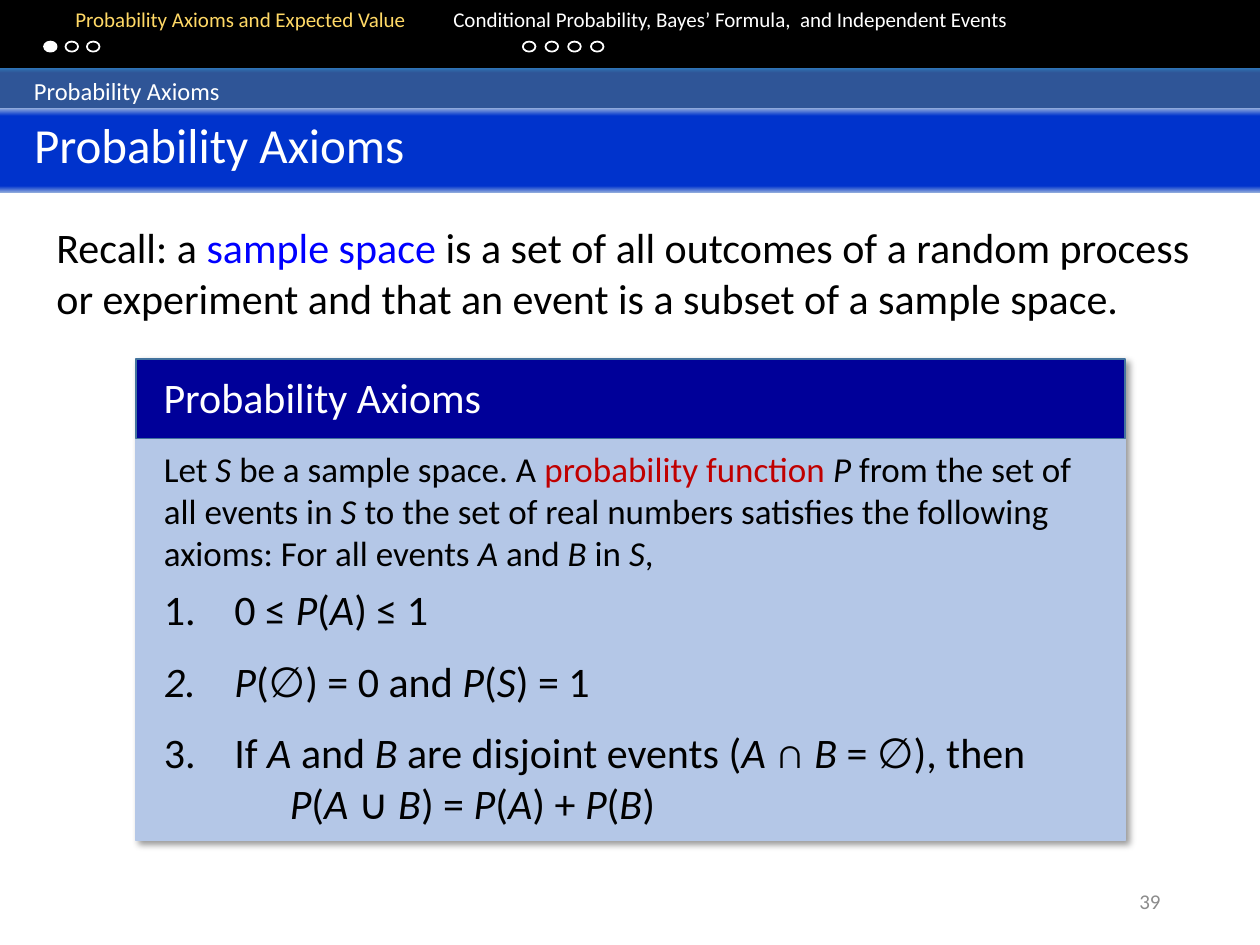
"""Build the Probability Axioms lecture slide."""
from lxml import etree
from pptx import Presentation
from pptx.dml.color import RGBColor
from pptx.enum.shapes import MSO_SHAPE
from pptx.enum.text import MSO_ANCHOR, MSO_AUTO_SIZE, PP_ALIGN
from pptx.oxml.ns import qn
from pptx.util import Inches, Pt

RECTANGLE, OVAL = MSO_SHAPE.RECTANGLE, MSO_SHAPE.OVAL
TOP, MIDDLE = MSO_ANCHOR.TOP, MSO_ANCHOR.MIDDLE
LEFT, RIGHT = PP_ALIGN.LEFT, PP_ALIGN.RIGHT
NO_FIT = MSO_AUTO_SIZE.NONE

TOPIC = "Probability Axioms"
SECTIONS = [
    {"name": "Probability Axioms and Expected Value", "left": 0.35,
     "step": 0.17, "dots": 3, "current": 0},
    {"name": "Conditional Probability, Bayes’ Formula,  and Independent Events",
     "left": 4.15, "step": 0.18, "dots": 4, "current": None},
]
RECALL = ("Recall: a |sample space |is a set of all outcomes of a random process "
          "or experiment and that an event is a subset of a sample space.")
INTRO = ("Let *S *be a sample space. A |probability function |*P* from the set of "
         "all events in *S *to the set of real numbers satisfies the following "
         "axioms: For all events *A *and *B* in *S*,")
AXIOMS = [
    "0 ≤ *P*(*A*) ≤ 1",
    "*P*(∅) = 0 and *P*(*S*) = 1",
    "If *A* and *B* are disjoint events (*A* ∩ *B* = ∅), then",
]
SUM_RULE = "*P*(*A* ∪ *B*) = *P*(*A*) + *P*(*B*)"
PAGE_NUMBER = "39"

THEME = {
    "font": "Calibri", "white": "FFFFFF", "black": "000000", "gold": "FFD966",
    "grey": "8C8C8C", "blue": "0000FF", "red": "C00000", "card": "B4C7E7",
    "navy": "000099", "edge": "43739E",
    "topic_bar": [(0, "2E75B6"), (11, "2F5597"), (91, "2F5597"), (100, "2E75B6")],
    "title_bar": [(0, "8FAADC"), (9, "0033CC"), (92, "0033CC"), (100, "8FAADC")],
    "small": 12, "topic": 14, "intro": 20, "text": 24, "title": 28,
}


def color(name):
    return RGBColor.from_string(THEME[name])


def child(parent, tag, **attributes):
    values = {key: str(value) for key, value in attributes.items()}
    return etree.SubElement(parent, qn(tag), values)


def place(shape, left, top, width, height):
    shape.left, shape.top = Inches(left), Inches(top)
    shape.width, shape.height = Inches(width), Inches(height)


def add_gradient(shape, stops):
    gradient = child(shape.element.spPr, "a:gradFill", rotWithShape=1)
    stop_list = child(gradient, "a:gsLst")
    for position, value in stops:
        stop = child(stop_list, "a:gs", pos=position * 1000)
        child(stop, "a:srgbClr", val=value)
    child(gradient, "a:lin", ang=90 * 60000, scaled=0)


def add_shape(page, kind, box, fill=None, line=None, stops=None):
    shape = page.shapes.add_shape(kind, *map(Inches, box))
    if stops:
        add_gradient(shape, stops)
    elif fill:
        shape.fill.solid()
        shape.fill.fore_color.rgb = color(fill)
    else:
        shape.fill.background()
    if line:
        shape.line.color.rgb = color(line)
        shape.line.width = Pt(1)
    else:
        shape.line.fill.background()
    shape.shadow.inherit = False
    return shape


def add_shadow(shape):
    effects = shape.element.spPr.find(qn("a:effectLst"))
    shadow = child(effects, "a:outerShdw", blurRad=Pt(4), dist=Pt(3),
                   dir=45 * 60000, algn="tl", rotWithShape=0)
    tint = child(shadow, "a:srgbClr", val=THEME["black"])
    child(tint, "a:alpha", val=40000)


def prepare(shape, anchor=TOP, inset=0.1):
    frame = shape.text_frame
    frame.word_wrap = True
    frame.auto_size = NO_FIT
    frame.vertical_anchor = anchor
    frame.margin_left = Inches(inset)
    return frame


def add_text(page, box, anchor=TOP):
    return prepare(page.shapes.add_textbox(*map(Inches, box)), anchor)


def write(frame, text, size="text", ink="black", accent="black", align=LEFT,
          after=0, indent=0, hanging=0, numbered=False, tabs=()):
    """Add a paragraph; * toggles italics and | toggles the accent colour."""
    para = frame.paragraphs[0]
    if para.runs:
        para = frame.add_paragraph()
    para.alignment = align
    para.space_before, para.space_after = Pt(0), Pt(after)
    properties = para._p.get_or_add_pPr()
    properties.set("marL", str(Inches(indent)))
    properties.set("indent", str(-Inches(hanging)))
    if numbered:
        child(properties, "a:buFont", typeface="+mj-lt")
        child(properties, "a:buAutoNum", type="arabicPeriod")
    else:
        child(properties, "a:buNone")
    if tabs:
        tab_list = child(properties, "a:tabLst")
        for tab in tabs:
            child(tab_list, "a:tab", pos=Inches(tab), algn="l")
    for accented, part in enumerate(text.split("|")):
        for slanted, piece in enumerate(part.split("*")):
            if piece:
                span = para.add_run()
                span.text = piece
                span.font.name = THEME["font"]
                span.font.size = Pt(THEME[size])
                span.font.italic = slanted % 2 == 1
                span.font.color.rgb = color(accent if accented % 2 else ink)


def add_navigation(page):
    add_shape(page, RECTANGLE, (0, -0.02, 10, 0.56), "black")
    names = "|".join("\t" + section["name"] for section in SECTIONS)
    write(add_text(page, (0, 0, 10, 0.5)), names, size="small", ink="gold",
          accent="white", tabs=(0.26, 4.05))
    for section in SECTIONS:
        for index in range(section["dots"]):
            left = section["left"] + index * section["step"]
            fill = "white" if index == section["current"] else None
            add_shape(page, OVAL, (left, 0.33, 0.1, 0.08), fill, "white")
    bar = add_shape(page, RECTANGLE, (0, 0.54, 10, 0.36), stops=THEME["topic_bar"])
    write(prepare(bar, MIDDLE, 0.27), TOPIC, size="topic", ink="white")


def add_title(page):
    title = page.shapes.title
    place(title, 0, 0.86, 10, 0.67)
    add_gradient(title, THEME["title_bar"])
    write(prepare(title, TOP, 0.27), TOPIC, size="title", ink="white")
    page.shapes.element.append(title.element)


def add_axioms(page):
    card = add_shape(page, RECTANGLE, (1.08, 2.85, 7.85, 3.82), "card", "card")
    add_shadow(card)
    add_shape(page, RECTANGLE, (1.08, 2.85, 7.85, 0.63), "navy", "edge")
    write(add_text(page, (1.2, 2.9, 4.63, 0.5)), TOPIC, ink="white")
    body = page.placeholders[1]
    place(body, 1.2, 3.5, 7.57, 3.15)
    frame = prepare(body)
    write(frame, INTRO, size="intro", accent="red", after=6)
    for axiom in AXIOMS:
        write(frame, axiom, indent=0.56, hanging=0.56, numbered=True,
              after=0 if axiom == AXIOMS[-1] else 12)
    write(frame, SUM_RULE, indent=1, after=12)
    page.shapes.element.append(body.element)


def main():
    deck = Presentation()
    deck.slide_width, deck.slide_height = Inches(10), Inches(7.5)
    page = deck.slides.add_slide(deck.slide_layouts[1])
    add_navigation(page)
    add_title(page)
    write(add_text(page, (0.35, 1.71, 9.34, 1.04)), RECALL, accent="blue")
    add_axioms(page)
    write(add_text(page, (7.06, 6.95, 2.25, 0.4), MIDDLE), PAGE_NUMBER,
          size="small", ink="grey", align=RIGHT)
    deck.save("out.pptx")


if __name__ == "__main__":
    main()
